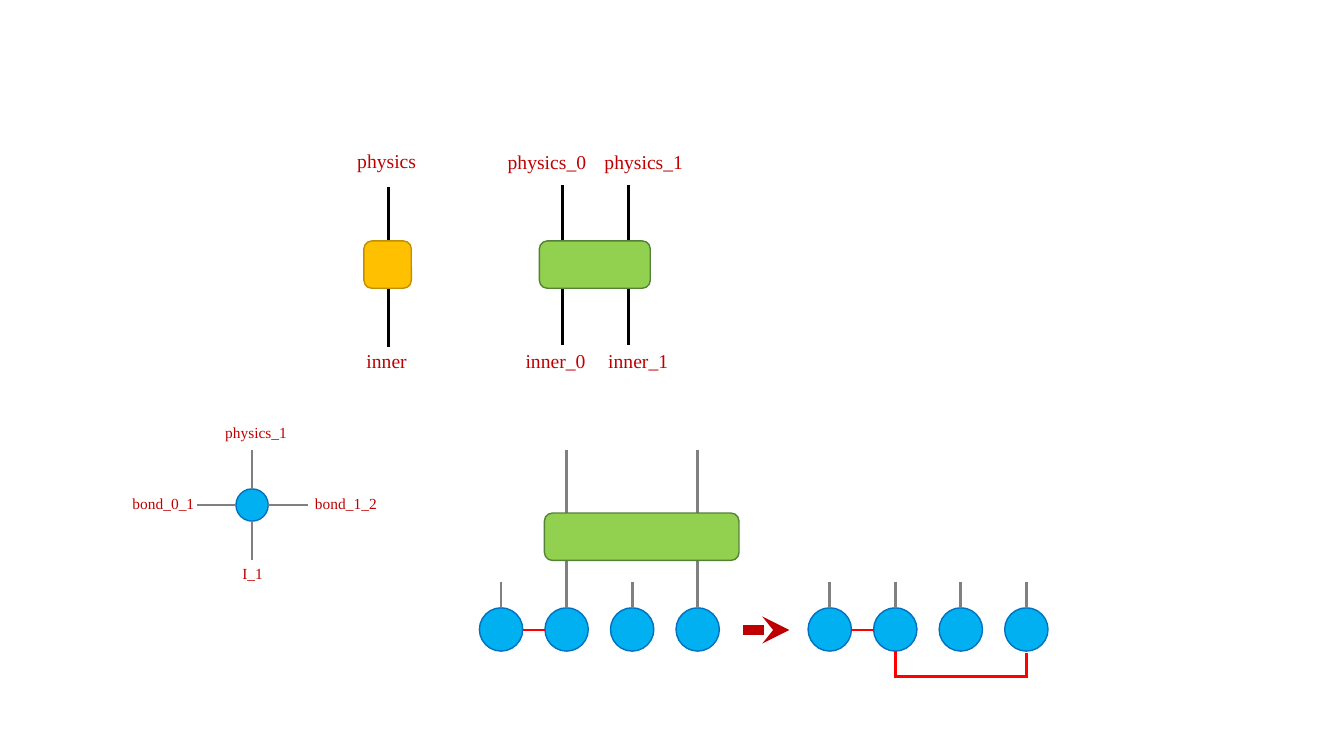
from lxml import etree
from pptx import Presentation
from pptx.dml.color import RGBColor
from pptx.enum.shapes import MSO_CONNECTOR, MSO_SHAPE
from pptx.enum.text import MSO_AUTO_SIZE, PP_ALIGN
from pptx.oxml.ns import qn
from pptx.util import Inches, Pt

STRAIGHT = MSO_CONNECTOR.STRAIGHT
ROUNDED = MSO_SHAPE.ROUNDED_RECTANGLE
OVAL = MSO_SHAPE.OVAL
CENTER = PP_ALIGN.CENTER
FIT_SHAPE = MSO_AUTO_SIZE.SHAPE_TO_FIT_TEXT

BLACK = RGBColor(0x00, 0x00, 0x00)
GRAY = RGBColor(0x80, 0x80, 0x80)
RED = RGBColor(0xFF, 0x00, 0x00)
DARK_RED = RGBColor(0xC0, 0x00, 0x00)
BLUE = RGBColor(0x00, 0xB0, 0xF0)
DARK_BLUE = RGBColor(0x00, 0x70, 0xC0)
GREEN = RGBColor(0x92, 0xD0, 0x50)
DARK_GREEN = RGBColor(0x54, 0x82, 0x35)
GOLD = RGBColor(0xFF, 0xC0, 0x00)
DARK_GOLD = RGBColor(0xBF, 0x90, 0x00)

SITE_PITCH = 0.65
SITE_SIZE = 0.43
SITE_TOP = 6.03
SITE_MIDDLE = 6.25
GATE_HEIGHT = 0.47


class TensorPage:
    font_name = "Times New Roman"

    def __init__(self, deck):
        self.shapes = deck.slides.add_slide(deck.slide_layouts[6]).shapes

    def label(self, text, left, top, width, height=0.34, size=14):
        box = self.shapes.add_textbox(
            Inches(left), Inches(top), Inches(width), Inches(height))
        frame = box.text_frame
        frame.word_wrap = False
        frame.auto_size = FIT_SHAPE
        para = frame.paragraphs[0]
        para.text = text
        para.alignment = CENTER
        para.font.name = self.font_name
        para.font.size = Pt(size)
        para.font.color.rgb = DARK_RED

    def block(self, kind, left, top, width, height, fill, outline):
        shape = self.shapes.add_shape(
            kind, Inches(left), Inches(top), Inches(width), Inches(height))
        shape.shadow.inherit = False
        shape.fill.solid()
        shape.fill.fore_color.rgb = fill
        shape.line.color.rgb = outline
        shape.line.width = Pt(1)
        return shape

    def gate(self, left, top, width, fill=GREEN, outline=DARK_GREEN):
        return self.block(ROUNDED, left, top, width, GATE_HEIGHT, fill, outline)

    def tensor(self, center, top, size):
        return self.block(OVAL, center - size / 2, top, size, size, BLUE, DARK_BLUE)

    def line(self, x1, y1, x2, y2, color=GRAY, width=2.0):
        connector = self.shapes.add_connector(
            STRAIGHT, Inches(x1), Inches(y1), Inches(x2), Inches(y2))
        connector.line.color.rgb = color
        connector.line.width = Pt(width)
        etree.SubElement(connector._element.spPr, qn("a:effectLst"))
        return connector

    def arrow(self, x1, x2, y):
        connector = self.line(x1, y, x2, y, DARK_RED, 6.5)
        etree.SubElement(connector.line._get_or_add_ln(), qn("a:tailEnd"), type="stealth")

    def bracket(self, points):
        corners = [(Inches(x), Inches(y)) for x, y in points]
        builder = self.shapes.build_freeform(*corners[0])
        builder.add_line_segments(corners[1:], close=False)
        shape = builder.convert_to_shape()
        shape.shadow.inherit = False
        shape.fill.background()
        shape.line.color.rgb = RED
        shape.line.width = Pt(2)
        etree.SubElement(shape.line._get_or_add_ln(), qn("a:miter"), lim="800000")

    def chain(self, first_center, leg_tops):
        centers = [first_center + SITE_PITCH * site for site in range(len(leg_tops))]
        for center, leg_top in zip(centers, leg_tops):
            site = self.tensor(center, SITE_TOP, SITE_SIZE)
            leg = self.line(center, leg_top, center, SITE_TOP)
            leg.end_connect(site, 0)
        self.line(centers[0] + SITE_SIZE / 2, SITE_MIDDLE,
                  centers[1] - SITE_SIZE / 2, SITE_MIDDLE, RED)
        return centers


def draw_gates(page):
    for center in (5.58, 6.23):
        page.line(center, 1.84, center, 3.42, BLACK)
    page.gate(5.35, 2.39, 1.1)
    page.line(3.85, 1.86, 3.85, 3.44, BLACK)
    page.gate(3.61, 2.39, GATE_HEIGHT, GOLD, DARK_GOLD)
    for text, left, top, width in (
            ("physics", 3.44, 1.43, 0.79), ("inner", 3.53, 3.41, 0.61),
            ("physics_0", 4.93, 1.44, 0.99), ("physics_1", 5.89, 1.44, 0.99),
            ("inner_0", 5.1, 3.41, 0.82), ("inner_1", 5.92, 3.41, 0.82)):
        page.label(text, left, top, width)


def draw_single_tensor(page):
    center_x, center_y, radius, reach = 2.5, 5.01, 0.16, 0.55
    page.tensor(center_x, center_y - radius, 2 * radius)
    for dx, dy in ((0, -1), (0, 1), (-1, 0), (1, 0)):
        page.line(center_x + dx * radius, center_y + dy * radius,
                  center_x + dx * reach, center_y + dy * reach, GRAY, 1.25)
    for text, left, top, width in (
            ("physics_1", 2.13, 4.15, 0.82), ("I_1", 2.3, 5.55, 0.41),
            ("bond_0_1", 1.21, 4.85, 0.82), ("bond_1_2", 3.02, 4.85, 0.82)):
        page.label(text, left, top, width, 0.29, 11)


def draw_chains(page):
    page.chain(4.97, (5.77, 4.46, 5.77, 4.46))
    page.gate(5.4, 5.09, 1.93)
    page.arrow(7.37, 7.83, SITE_MIDDLE)
    centers = page.chain(8.23, (5.77,) * 4)
    page.bracket([(centers[1], 6.46), (centers[1], 6.71),
                  (centers[3], 6.71), (centers[3], 6.48)])


def main():
    deck = Presentation()
    deck.slide_width = Inches(13.33)
    deck.slide_height = Inches(7.5)
    page = TensorPage(deck)
    draw_gates(page)
    draw_single_tensor(page)
    draw_chains(page)
    deck.save("out.pptx")


if __name__ == "__main__":
    main()
